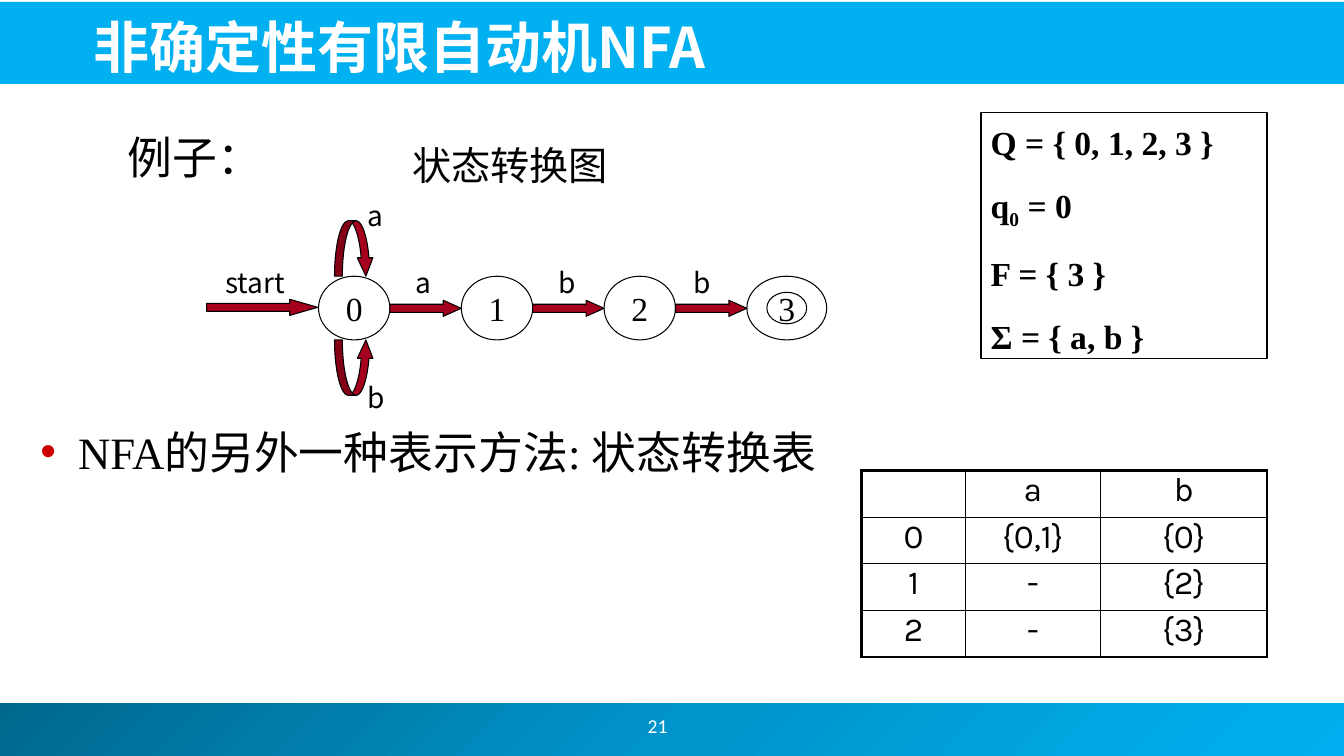
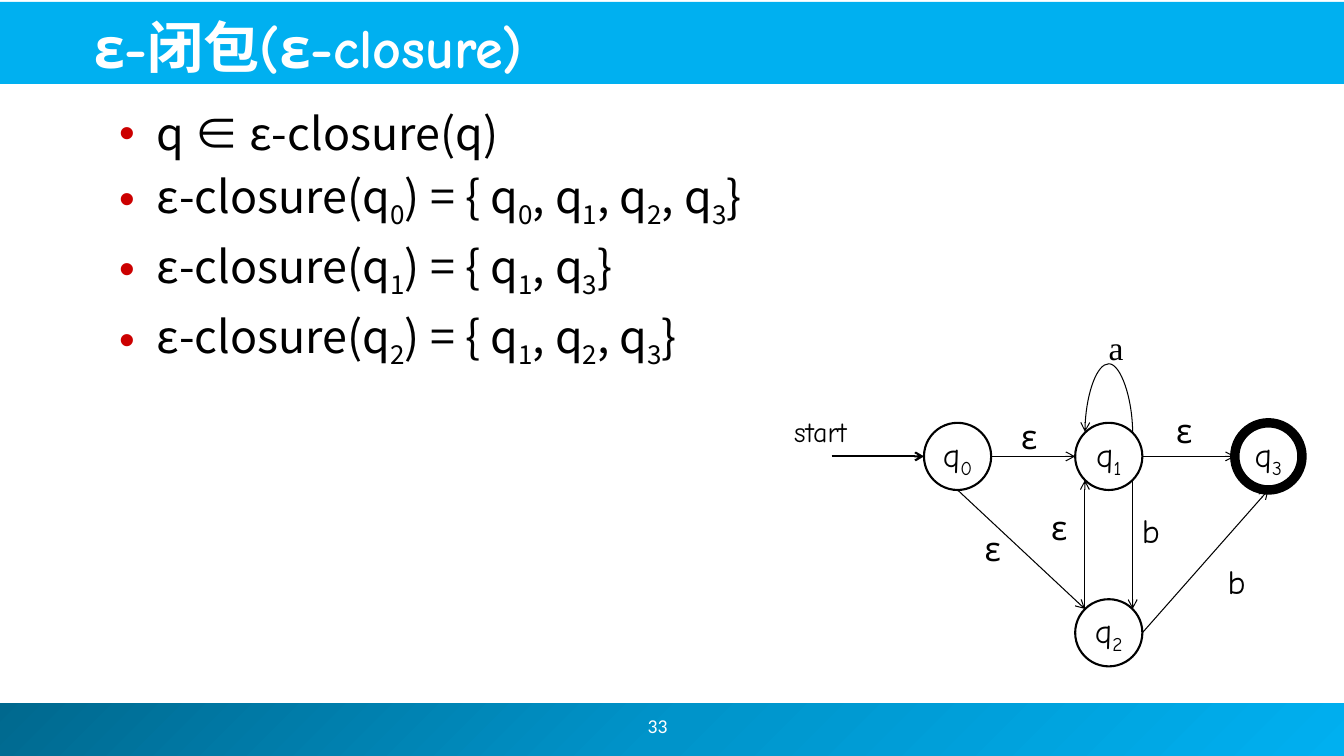
from lxml.etree import SubElement
from pptx import Presentation
from pptx.dml.color import RGBColor
from pptx.enum.shapes import MSO_CONNECTOR as Link, MSO_SHAPE as Kind
from pptx.enum.text import MSO_ANCHOR as Anchor, MSO_AUTO_SIZE as Auto, PP_ALIGN as Align
from pptx.oxml import parse_xml
from pptx.oxml.ns import nsdecls, qn
from pptx.util import Pt

# Shared look
BLACK, WHITE, SKY, RED, DOT = "000000", "FFFFFF", "00B0F0", "A4001D", "CC0000"
GRAD = [(0, "00688E"), (50, "0094CA"), (100, SKY)]
SANS, SANS_JP = "Noto Sans CJK SC", "Noto Sans CJK JP"
TIMES, COMIC = "Times New Roman", "Comic Neue"

# Content; "_" lowers the character after it
NFA = {
    "title": "非确定性有限自动机NFA", "font": SANS_JP, "page": "21",
    "body": ["NFA的另外一种表示方法: 状态转换表"], "face": TIMES,
    "box": (21.6, 299.5, 587.5, 59),
}
HEADS = [("例子：", 84.2, 81.4, 32), ("状态转换图", 287.3, 90.7, 28)]
FACTS = ["Q = { 0, 1, 2, 3 }", "q_0 = 0", "F = { 3 }", "Σ = { a, b }"]
STATES = ["0", "1", "2", "3"]
MARKS = [("start", 142.6, 186.5, 79), ("a", 289.4, 186.5, 23),
         ("b", 391.7, 186.5, 23), ("b", 488.2, 186.5, 23),
         ("a", 255.6, 138.2, 23), ("b", 255.6, 268.6, 23)]
ROWS = [["", "a", "b"], ["0", "{0,1}", "{0}"], ["1", "-", "{2}"], ["2", "-", "{3}"]]
COLS = [74, 96.5, 119]

CLOSURE = {
    "title": "ε-闭包(ε-closure)", "font": COMIC, "page": "33",
    "body": ["q ∈ ε-closure(q)", "ε-closure(q_0) = { q_0, q_1, q_2, q_3}",
             "ε-closure(q_1) = { q_1, q_3}", "ε-closure(q_2) = { q_1, q_2, q_3}"],
    "face": SANS_JP, "box": (77.8, 72, 738, 265.7),
}
NODES = {"q_0": (684, 326), "q_1": (792, 326), "q_2": (792, 452), "q_3": (906, 326)}
EDGES = [("q_0", "E", "q_1", "W"), ("q_1", "E", "q_3", "W"), ("q_0", "S", "q_2", "NW"),
         ("q_2", "NW", "q_1", "SW"), ("q_1", "SE", "q_2", "NE"), ("q_2", "E", "q_3", "S")]
TAGS = [("start", 560.2, 292.3, 20, COMIC), ("ε", 722.2, 293.8, 24, COMIC),
        ("ε", 833, 289.4, 24, COMIC), ("ε", 696.2, 373.7, 24, COMIC),
        ("ε", 743.8, 358.6, 24, COMIC), ("a", 784.8, 229.7, 24, TIMES),
        ("b", 808.6, 360.7, 24, COMIC), ("b", 869.8, 397.4, 24, COMIC)]
RAD = 24
DIAG = 0.71
SIDES = {"E": (1, 0), "W": (-1, 0), "S": (0, 1), "NW": (-DIAG, -DIAG),
         "NE": (DIAG, -DIAG), "SW": (-DIAG, DIAG), "SE": (DIAG, DIAG)}


def rgb(code):
    return RGBColor.from_string(code)


def place(shape, box):
    shape.left, shape.top, shape.width, shape.height = map(Pt, box)


def write(frame, lines, size, face, color=BLACK, bold=False, align=Align.LEFT,
          anchor=Anchor.TOP, wrap=True):
    """Fill a text frame and format all its runs."""
    frame.word_wrap, frame.auto_size = wrap, Auto.NONE
    frame.vertical_anchor = anchor
    for i, line in enumerate(lines):
        para = frame.paragraphs[0] if i == 0 else frame.add_paragraph()
        first, *rest = line.split("_")
        para.text, para.alignment = first, align
        for part in rest:
            low = para.add_run()
            low.text = part[0]
            low.font._element.set("baseline", "-25000") if hasattr(low.font, "_element") \
                else low._r.get_or_add_rPr().set("baseline", "-25000")
            if part[1:]:
                para.add_run().text = part[1:]
        for run in para.runs:
            font = run.font
            font.size, font.name, font.bold = Pt(size), face, bold
            font.color.rgb = rgb(color)
            east = face if face.startswith("Noto") else SANS
            SubElement(run._r.get_or_add_rPr(), qn("a:ea")).set("typeface", east)


def label(slide, text, box, size, face, **look):
    area = slide.shapes.add_textbox(*map(Pt, box))
    write(area.text_frame, [text], size, face, **look)
    return area


def draw(slide, kind, box, fill=None, line=BLACK, width=0.75, adj=()):
    shape = slide.shapes.add_shape(kind, *map(Pt, box))
    shape.shadow.inherit = False
    if fill:
        shape.fill.solid()
        shape.fill.fore_color.rgb = rgb(fill)
    else:
        shape.fill.background()
    if line:
        shape.line.color.rgb, shape.line.width = rgb(line), Pt(width)
    else:
        shape.line.fill.background()
    for i, value in enumerate(adj):
        shape.adjustments[i] = value
    return shape


def state(slide, text, box, face, width=0.75):
    oval = draw(slide, Kind.OVAL, box, width=width)
    write(oval.text_frame, [text], 24, face, align=Align.CENTER,
          anchor=Anchor.MIDDLE, wrap=False)


def arrow(slide, start, end, width=0.75, kind=Link.STRAIGHT):
    wire = slide.shapes.add_connector(kind, *map(Pt, (*start, *end)))
    wire.line.color.rgb, wire.line.width = rgb(BLACK), Pt(width)
    SubElement(wire.line._get_or_add_ln(), qn("a:tailEnd")).set("type", "arrow")
    SubElement(wire.element.spPr, qn("a:effectLst"))
    return wire


def bands(slide, layout):
    """Draw the two bands and move them to the layout."""
    foot = draw(slide, Kind.RECTANGLE, (-3.6, 502.5, 964, 37.5), line=None)
    stops = "".join(f'<a:gs pos="{pos * 1000}"><a:srgbClr val="{code}"/></a:gs>'
                    for pos, code in GRAD)
    props = foot.element.spPr
    props.replace(props.find(qn("a:noFill")), parse_xml(
        f'<a:gradFill {nsdecls("a")}><a:gsLst>{stops}</a:gsLst>'
        '<a:lin ang="2700000" scaled="0"/></a:gradFill>'))
    head = draw(slide, Kind.RECTANGLE, (-1.4, 1.4, 962, 58.5), SKY, None)
    for spot, band in enumerate((foot, head), 2):
        layout.shapes.element.insert(spot, band.element)


def begin(deck, layout, info):
    """Add a slide with title, bullet list and page number."""
    slide = deck.slides.add_slide(layout)
    title, body = slide.placeholders
    write(title.text_frame, [info["title"]], 40, info["font"], WHITE, True,
          anchor=Anchor.BOTTOM)
    place(body, info["box"])
    write(body.text_frame, info["body"], 32, info["face"])
    for para in body.text_frame.paragraphs:
        tint = SubElement(para._p.get_or_add_pPr(), qn("a:buClr"))
        SubElement(tint, qn("a:srgbClr")).set("val", DOT)
    label(slide, info["page"], (365.8, 500.4, 208, 36), 14, "Calibri", color=WHITE,
          align=Align.CENTER, anchor=Anchor.MIDDLE)
    return slide


def grid(slide):
    """Transition table with a heavy outer frame."""
    table = slide.shapes.add_table(len(ROWS), len(COLS), Pt(615.6), Pt(336.2),
                                   Pt(sum(COLS)), Pt(133.2)).table
    table.first_row = table.horz_banding = False
    for c, width in enumerate(COLS):
        table.columns[c].width = Pt(width)
    for r, row in enumerate(ROWS):
        for c, text in enumerate(row):
            cell = table.cell(r, c)
            cell.margin_left = cell.margin_right = cell.margin_top = cell.margin_bottom = 0
            write(cell.text_frame, [text], 24, "Karla", align=Align.CENTER)
            outer = {"L": c == 0, "R": c == len(COLS) - 1,
                     "T": r == 0, "B": r == len(ROWS) - 1}
            props = cell._tc.get_or_add_tcPr()
            for side, heavy in outer.items():
                edge = SubElement(props, qn(f"a:ln{side}"))
                edge.set("w", str(Pt(2.25 if heavy else 1)))
                ink = SubElement(edge, qn("a:solidFill"))
                SubElement(ink, qn("a:srgbClr")).set("val", BLACK)
            cell.fill.solid()
            cell.fill.fore_color.rgb = rgb(WHITE)


def chain(slide):
    """State chain with block arrows and two loops."""
    left, top, wide, high, step = 227.5, 197.3, 51, 45.5, 102
    last = len(STATES) - 1
    draw(slide, Kind.RIGHT_ARROW, (147.6, 213.8, 79.4, 11.5), RED, adj=(0.5, 1.74))
    for i, name in enumerate(STATES):
        x = left + i * step
        size = 57 if i == last else wide
        state(slide, name, (x, top, size, high), TIMES)
        if i < last:
            draw(slide, Kind.RIGHT_ARROW, (x + wide, 214.5, wide, 11.5), RED, adj=(0.5, 1.12))
        else:
            draw(slide, Kind.OVAL, (x + 14.25, top + 11.5, 28.5, 22.5))
    for y, flip in ((top - 39.6, "1"), (top + high, "0")):
        loop = draw(slide, Kind.CURVED_UP_ARROW, (239, y, 28, 39.6), RED,
                    adj=(0.2, 0.4, 0.47))
        loop.element.spPr.find(qn("a:xfrm")).set("flipV", flip)
    for text, x, y, width in MARKS:
        label(slide, text, (x, y, width, 31), 20, SANS, align=Align.CENTER,
              anchor=Anchor.BOTTOM)


def rim(name, side):
    (x, y), (dx, dy) = NODES[name], SIDES[side]
    return x + dx * RAD, y + dy * RAD


def graph(slide):
    """State graph with empty moves."""
    for name, (x, y) in NODES.items():
        state(slide, name, (x - RAD, y - RAD, 2 * RAD, 2 * RAD), COMIC,
              6.75 if name == "q_3" else 1.5)
    arrow(slide, (594, 326), rim("q_0", "W"), 1.5)
    for tail, out, head, into in EDGES:
        arrow(slide, rim(tail, out), rim(head, into))
    # Loop over q1: a one-point-wide curve, turned upright
    x, y = NODES["q_1"][0], rim("q_1", "NE")[1]
    half = DIAG * RAD
    loop = arrow(slide, (x - 0.5, y - half), (x + 0.5, y + half), kind=Link.CURVE)
    frame = loop.element.spPr.find(qn("a:xfrm"))
    frame.set("rot", "16200000")
    frame.set("flipV", "1")
    bend = SubElement(loop.element.spPr.find(qn("a:prstGeom")).find(qn("a:avLst")), qn("a:gd"))
    bend.set("name", "adj1")
    bend.set("fmla", "val 5000000")
    for text, x, y, size, face in TAGS:
        label(slide, text, (x, y, 63 if size == 20 else 26, 36), size, face, wrap=False)


def main():
    deck = Presentation()
    deck.slide_width, deck.slide_height = Pt(960), Pt(540)
    layout = deck.slide_layouts[1]
    place(layout.placeholders[0], (59.8, 3.6, 868.3, 56.9))

    # Slide 1: automaton and its table
    slide = begin(deck, layout, NFA)
    bands(slide, layout)
    for text, x, y, size in HEADS:
        head = label(slide, text, (x, y, 250, 51), size, SANS)
        head.text_frame.paragraphs[0].line_spacing = 1.2
    chain(slide)
    facts = draw(slide, Kind.RECTANGLE, (700.6, 80.6, 204.5, 175.7), width=1)
    write(facts.text_frame, FACTS, 24, TIMES, bold=True)
    for para in facts.text_frame.paragraphs:
        para.line_spacing, para.space_before = 1.1, Pt(13)
    grid(slide)

    # Slide 2: closure sets and their graph
    graph(begin(deck, layout, CLOSURE))
    deck.save("out.pptx")


if __name__ == "__main__":
    main()
